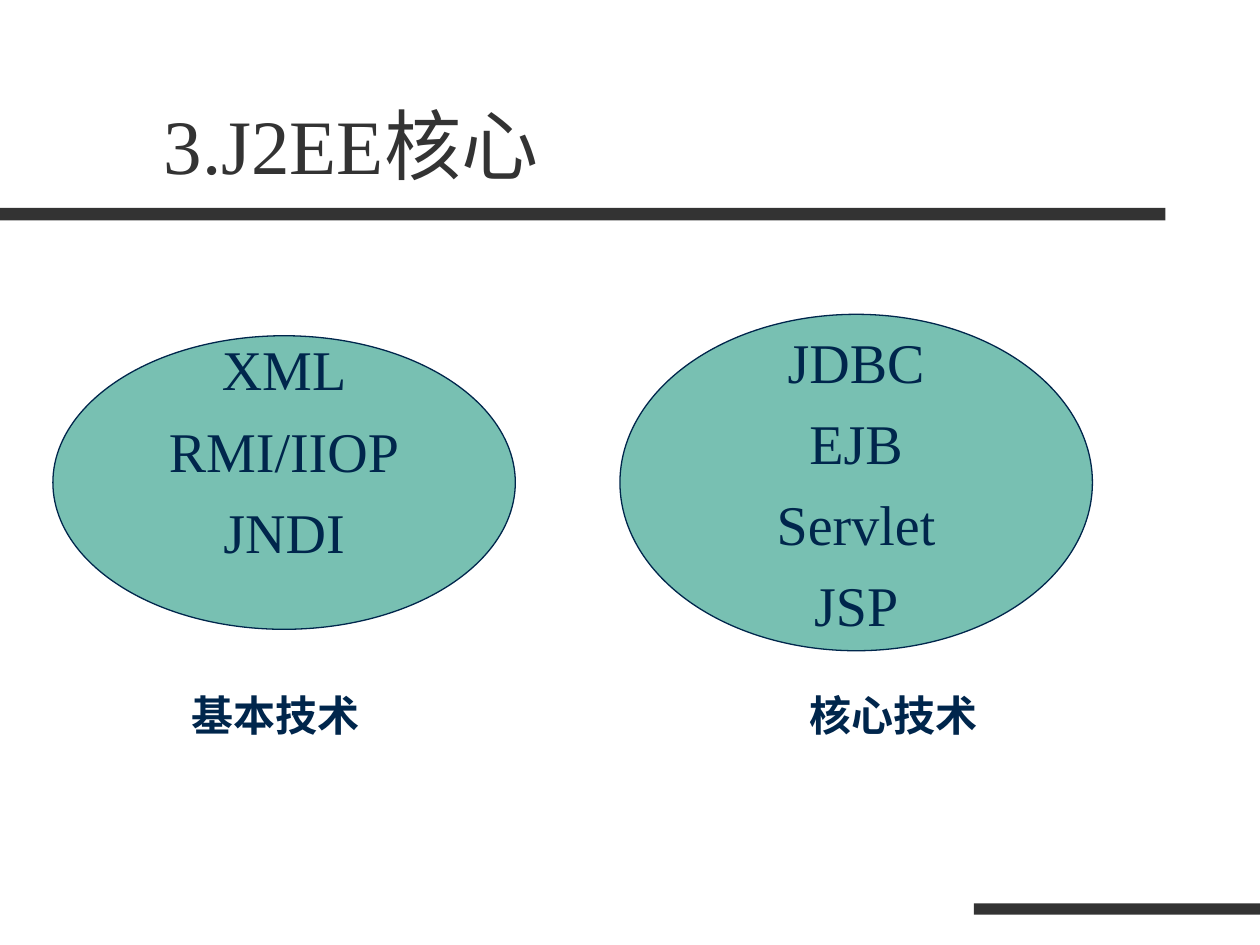
from pptx import Presentation
from pptx.dml.color import RGBColor
from pptx.enum.shapes import MSO_SHAPE as Shape
from pptx.enum.text import MSO_ANCHOR as Anchor, MSO_AUTO_SIZE as AutoSize, PP_ALIGN as Align
from pptx.util import Inches, Pt

WIDTH, HEIGHT = 10, 7.5
FONT = "Times New Roman"
COLORS = {"bar": "333333", "title": "333333", "oval": "78C0B2", "ink": "00264C"}
LABEL_TOP, LABEL_HEIGHT = 5.42, 0.5
OVAL_MIDDLE = 3.83
# Room kept free below a list, one text line high
SPARE_LINE = 0.52

# Oval left, width, height; terms; space below them; label, its left and width
GROUPS = [
    (0.42, 3.67, 2.33, ["XML", "RMI/IIOP", "JNDI"], SPARE_LINE, "基本技术", 1.42, 1.67),
    (4.92, 3.75, 2.67, ["JDBC", "EJB", "Servlet", "JSP"], 0, "核心技术", 6.33, 1.58),
]


def color(name):
    return RGBColor.from_string(COLORS[name])


def write(frame, lines, size, ink="ink", bold=False, align=Align.LEFT,
          anchor=Anchor.TOP, wrap=True, gap=0, spare=0):
    frame.auto_size = AutoSize.NONE
    frame.word_wrap = wrap
    frame.vertical_anchor = anchor
    frame.margin_bottom = Inches(0.05 + spare)
    for index, line in enumerate(lines):
        paragraph = frame.add_paragraph() if index else frame.paragraphs[0]
        paragraph.alignment = align
        paragraph.space_before = Pt(gap if index else 0)
        run = paragraph.add_run()
        run.text = line
        run.font.name = FONT
        run.font.size = Pt(size)
        run.font.bold = bold
        run.font.color.rgb = color(ink)


def add_filled(slide, preset, box, fill, outline=None):
    shape = slide.shapes.add_shape(preset, *map(Inches, box))
    shape.shadow.inherit = False
    shape.fill.solid()
    shape.fill.fore_color.rgb = color(fill)
    if outline:
        shape.line.color.rgb = color(outline)
        shape.line.width = Pt(0.75)
    else:
        shape.line.fill.background()
    return shape


def add_title(slide, text):
    title = slide.shapes.title
    title.left, title.top, title.width, title.height = map(Inches, (1.2, 0.31, 8.5, 1.25))
    write(title.text_frame, [text], 44, ink="title", anchor=Anchor.BOTTOM)


def add_group(slide, left, width, height, terms, spare, label, label_left, label_width):
    """Oval listing the terms, with its label below."""
    box = (left, OVAL_MIDDLE - height / 2, width, height)
    oval = add_filled(slide, Shape.OVAL, box, "oval", outline="ink")
    write(oval.text_frame, terms, 32, align=Align.CENTER, anchor=Anchor.MIDDLE,
          wrap=False, gap=8, spare=spare)
    label_box = slide.shapes.add_textbox(
        *map(Inches, (label_left, LABEL_TOP, label_width, LABEL_HEIGHT)))
    write(label_box.text_frame, [label], 24, bold=True)


def main():
    deck = Presentation()
    deck.slide_width, deck.slide_height = Inches(WIDTH), Inches(HEIGHT)
    slide = deck.slides.add_slide(deck.slide_layouts[5])
    for bar in ((0, 1.65, 9.25, 0.1), (7.73, 7.17, WIDTH - 7.73, 0.09)):
        add_filled(slide, Shape.RECTANGLE, bar, "bar")
    add_title(slide, "3.J2EE核心")
    for group in GROUPS:
        add_group(slide, *group)
    deck.save("out.pptx")


if __name__ == "__main__":
    main()
